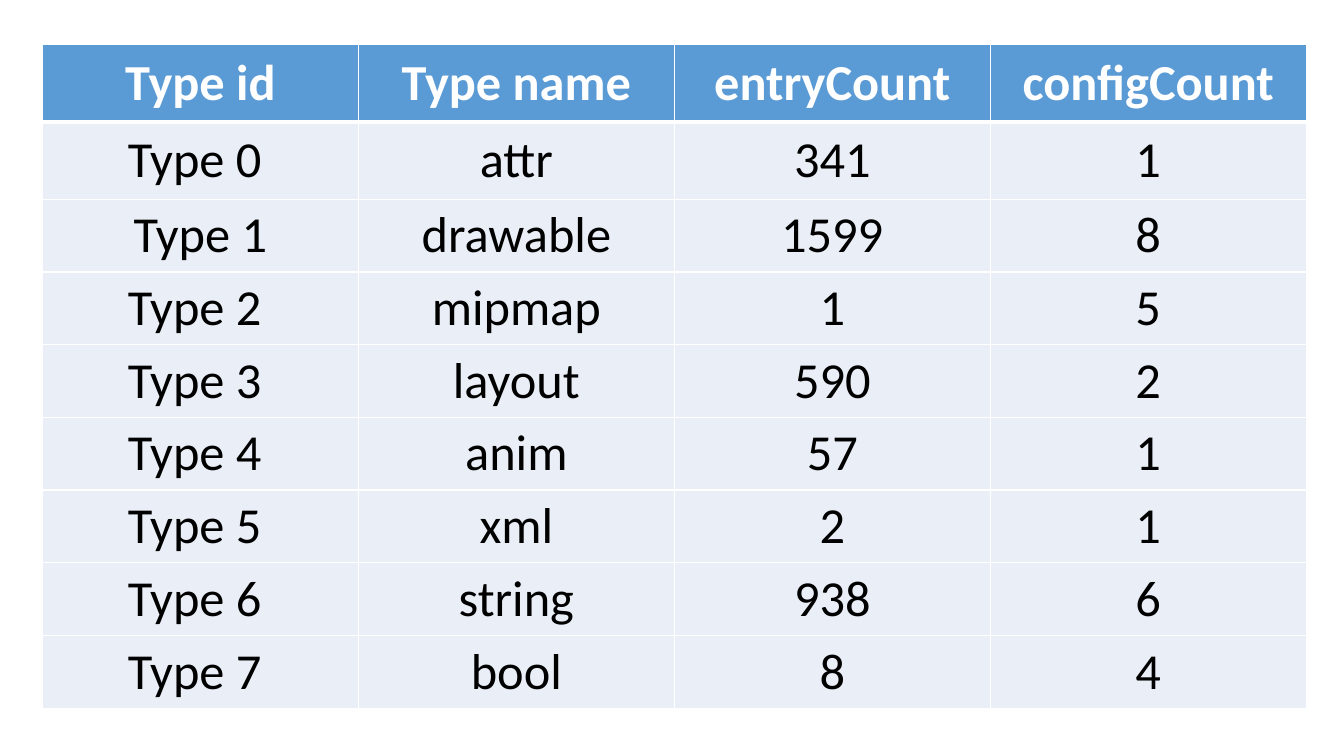
import pptx
import pptx.dml.color
import pptx.enum.text
import pptx.oxml
import pptx.oxml.ns
import pptx.util
from pptx.util import Cm

HEADINGS = ["Type id", "Type name", "entryCount", "configCount"]
# The first column carries a trailing space in every row but "Type 1"
RESOURCE_TYPES = [
    ["Type 0 ", "attr", "341", "1"],
    ["Type 1", "drawable", "1599", "8"],
    ["Type 2 ", "mipmap", "1", "5"],
    ["Type 3 ", "layout", "590", "2"],
    ["Type 4 ", "anim", "57", "1"],
    ["Type 5 ", "xml", "2", "1"],
    ["Type 6 ", "string", "938", "6"],
    ["Type 7 ", "bool", "8", "4"],
]
WHITE, BLACK, BLUE, PALE_BLUE = "FFFFFF", "000000", "5B9BD5", "EAEFF7"


def colour(hex_string):
    return pptx.dml.color.RGBColor.from_string(hex_string)


def add_border(cell, side, points):
    """Draw a white line on one side (L, R, T or B) of a cell."""
    cell._tc.get_or_add_tcPr().append(pptx.oxml.parse_xml(
        f'<a:ln{side} {pptx.oxml.ns.nsdecls("a")} w="{pptx.util.Pt(points)}">'
        f'<a:solidFill><a:srgbClr val="{WHITE}"/></a:solidFill></a:ln{side}>'))


def format_cell(cell, text, row_index):
    is_heading = row_index == 0
    # Borders come before the fill in the cell properties
    for side in "LRTB":
        thick = (is_heading and side == "B") or (row_index == 1 and side == "T")
        add_border(cell, side, 3 if thick else 1)
    cell.fill.solid()
    cell.fill.fore_color.rgb = colour(BLUE if is_heading else PALE_BLUE)
    cell.vertical_anchor = pptx.enum.text.MSO_ANCHOR.MIDDLE
    # Text
    cell.text_frame.text = text
    para = cell.text_frame.paragraphs[0]
    para.alignment = pptx.enum.text.PP_ALIGN.CENTER
    font = para.runs[0].font
    font.name = "Calibri"
    font.size = pptx.util.Pt(36)
    font.bold = is_heading
    font.color.rgb = colour(WHITE if is_heading else BLACK)


def add_type_table(page, left, top, width, height):
    rows = [HEADINGS] + RESOURCE_TYPES
    table = page.shapes.add_table(
        len(rows), len(HEADINGS), left, top, width, height).table
    # The heading and first row are slightly taller than the rest
    tall = Cm(1.95)
    regular = (height - 2 * tall) // (len(rows) - 2)
    for row_index, values in enumerate(rows):
        table.rows[row_index].height = tall if row_index < 2 else regular
        for column_index, text in enumerate(values):
            format_cell(table.cell(row_index, column_index), text, row_index)


def main():
    deck = pptx.Presentation()
    deck.slide_width, deck.slide_height = Cm(33.87), Cm(19.05)
    page = deck.slides.add_slide(deck.slide_layouts[6])
    add_type_table(page, Cm(1.07), Cm(1.12), Cm(31.85), Cm(16.73))
    deck.save("out.pptx")


if __name__ == "__main__":
    main()
